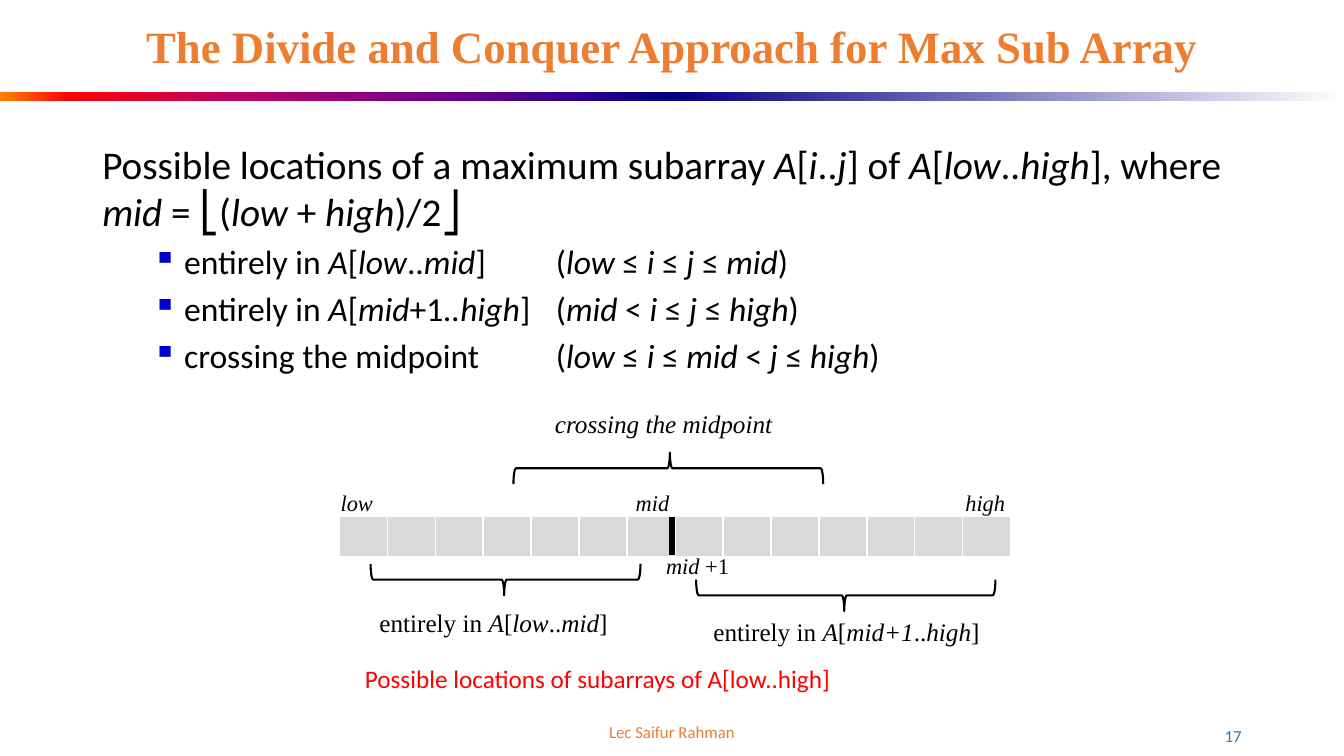
from lxml.etree import SubElement
from pptx import Presentation
from pptx.dml.color import RGBColor
from pptx.enum.shapes import MSO_CONNECTOR, MSO_SHAPE
from pptx.enum.text import MSO_ANCHOR, PP_ALIGN
from pptx.oxml.ns import qn
from pptx.util import Pt

EMU_PER_PX = 9525
COLORS = {
    "orange": "ED7D31", "black": "000000", "white": "FFFFFF", "red": "FF0000",
    "blue": "2E75B5", "bullet": "0000CC", "cell": "D9D9D9", "navy": "000082",
    "amber": "FF8200", "crimson": "BA0066", "purple": "66008F",
}
SANS, SERIF = "Calibri", "Times New Roman"
CELL_COUNT = 14


def px(length):
    return int(length * EMU_PER_PX)


def place(box):
    return [px(length) for length in box]


def color(name):
    return RGBColor.from_string(COLORS[name])


def add_runs(para, text, size, font, ink, bold=False):
    """Parts between asterisks are italic."""
    for index, part in enumerate(text.split("*")):
        if part:
            span = para.add_run()
            span.text = part
            span.font.size = Pt(size)
            span.font.name = font
            span.font.bold = bold
            span.font.italic = index % 2 == 1
            span.font.color.rgb = color(ink)


def add_frame(page, box, anchor=MSO_ANCHOR.TOP):
    frame = page.shapes.add_textbox(*place(box)).text_frame
    frame.word_wrap = True
    frame.vertical_anchor = anchor
    return frame


def add_label(page, box, text, size, font, ink, align=PP_ALIGN.LEFT,
              anchor=MSO_ANCHOR.TOP, bold=False):
    para = add_frame(page, box, anchor).paragraphs[0]
    para.alignment = align
    add_runs(para, text, size, font, ink, bold)
    return para


def add_gradient_bar(page, box, stops):
    bar = page.shapes.add_shape(MSO_SHAPE.RECTANGLE, *place(box))
    bar.shadow.inherit = False
    bar.line.fill.background()
    bar.fill.gradient()
    bar.fill.gradient_angle = 0
    stop_list = bar._element.spPr.find(qn("a:gradFill")).find(qn("a:gsLst"))
    for old_stop in list(stop_list):
        stop_list.remove(old_stop)
    for percent, name in stops:
        stop = SubElement(stop_list, qn("a:gs"), pos=str(percent * 1000))
        SubElement(stop, qn("a:srgbClr"), val=COLORS[name])


def add_header(page, box):
    left, top, width, height = box
    half = width // 2
    add_gradient_bar(page, (left, top + 88, half, 8),
                     [(0, "amber"), (10, "red"), (35, "crimson"), (70, "purple"), (100, "navy")])
    add_gradient_bar(page, (left + half, top + 88, half, 8), [(0, "navy"), (100, "white")])
    para = add_label(page, (left + 88, top + 15, width - 176, 63),
                     "The Divide and Conquer Approach for Max Sub Array", 32, SERIF,
                     "orange", PP_ALIGN.CENTER, MSO_ANCHOR.MIDDLE, bold=True)
    para.line_spacing = 0.9


def add_body(page, box):
    frame = add_frame(page, box)
    add_runs(frame.paragraphs[0],
             "Possible locations of a maximum subarray *A*[*i*..*j*] of *A*[*low*..*high*], "
             "where *mid* = ⎣(*low *+ *high*)/2⎦", 28, SANS, "black")
    cases = [
        "entirely in *A*[*low*..*mid*] \t\t(*low* ≤ *i *≤ *j *≤ *mid*)",
        "entirely in *A*[*mid*+1*..high*] \t(*mid* < *i *≤ *j *≤ *high*)",
        "crossing the midpoint \t\t(*low* ≤ *i *≤ *mid* < *j *≤ *high*)",
    ]
    for case in cases:
        para = frame.add_paragraph()
        para.level = 1
        para.space_before = Pt(4.8)
        properties = para._p.get_or_add_pPr()
        properties.set("marL", str(px(78)))
        properties.set("indent", str(px(-30)))
        bullet_color = SubElement(properties, qn("a:buClr"))
        SubElement(bullet_color, qn("a:srgbClr"), val=COLORS["bullet"])
        SubElement(properties, qn("a:buChar"), char="▪")
        add_runs(para, case, 24, SANS, "black")


def add_brace(page, box, rotation):
    """The box is the brace as seen; the shape is turned about its centre."""
    left, top, width, height = box
    shift = (width - height) / 2
    brace = page.shapes.add_shape(
        MSO_SHAPE.LEFT_BRACE, *place((left + shift, top - shift, height, width)))
    brace.rotation = rotation
    brace.adjustments[0], brace.adjustments[1] = 0.083, 0.495
    brace.shadow.inherit = False
    brace.fill.background()
    brace.line.color.rgb = color("black")
    brace.line.width = Pt(1.5)


def add_array(page, box):
    table = page.shapes.add_table(1, CELL_COUNT, *place(box)).table
    table.first_row = table.horz_banding = False
    table.rows[0].height = px(box[3])
    for column in table.columns:
        column.width = px(box[2] / CELL_COUNT)
    for cell in table.rows[0].cells:
        cell.margin_top = cell.margin_bottom = 0
        properties = cell._tc.get_or_add_tcPr()
        for side, points in (("L", 1), ("R", 1), ("T", 1), ("B", 3)):
            border = SubElement(properties, qn(f"a:ln{side}"), w=str(Pt(points)))
            fill = SubElement(border, qn("a:solidFill"))
            SubElement(fill, qn("a:srgbClr"), val=COLORS["white"])
        cell.fill.solid()
        cell.fill.fore_color.rgb = color("cell")


def add_diagram(page, box):
    left, top, width, height = box
    middle = left + width // 2 - 3
    array_top = top + 108
    add_array(page, (left, array_top, width, 39))

    # Midpoint mark
    mark = page.shapes.add_connector(
        MSO_CONNECTOR.STRAIGHT,
        *place((middle, array_top, middle, array_top + 37)))
    mark.line.color.rgb = color("black")
    mark.line.width = Pt(4.5)
    SubElement(mark._element.spPr, qn("a:effectLst"))

    # Index labels
    para = add_label(page, (left - 8, top + 77, width + 20, 36), "*low\tmid\thigh*",
                     16, SERIF, "black")
    tabs = SubElement(para._p.get_or_add_pPr(), qn("a:tabLst"))
    for position in (281, 595):
        SubElement(tabs, qn("a:tab"), pos=str(px(position)), algn="l")
    add_label(page, (left + 302, top + 137, 113, 36), "*mid *+1", 16, SERIF, "black")

    # Range labels and their braces
    ranges = [
        ((29, 190, 239, 38), "entirely in *A*[*low*..*mid*]", (30, 153, 257, 30), 270),
        ((347, 198, 276, 38), "entirely in *A*[*mid+1*..*high*]", (340, 168, 285, 30), 270),
        ((196, 0, 242, 38), "*crossing the midpoint*", (166, 47, 295, 30), 90),
    ]
    for label_box, text, brace_box, rotation in ranges:
        for add_part, part_box, details in (
                (add_label, label_box, (text, 18, SERIF, "black")),
                (add_brace, brace_box, (rotation,))):
            x, y, w, h = part_box
            add_part(page, (left + x, top + y, w, h), *details)

    # Caption
    add_label(page, (left + 15, top + height - 48, 612, 48),
              "Possible locations of subarrays of A[low..high]", 18, SANS, "red")


def add_footer(page, box):
    left, top, width, height = box
    add_label(page, (left + 299, top, 506, height), "Lec Saifur Rahman", 12, SANS,
              "orange", PP_ALIGN.CENTER, MSO_ANCHOR.MIDDLE)
    add_label(page, (left + width - 288, top + 4, 288, height), "17", 12, SANS,
              "blue", PP_ALIGN.RIGHT, MSO_ANCHOR.MIDDLE)


def main():
    deck = Presentation()
    deck.slide_width, deck.slide_height = px(1280), px(720)
    page = deck.slides.add_slide(deck.slide_layouts[6])
    add_header(page, (0, 0, 1280, 96))
    add_body(page, (88, 129, 1104, 271))
    add_diagram(page, (323, 384, 640, 291))
    add_footer(page, (88, 678, 1104, 38))
    deck.save("out.pptx")


if __name__ == "__main__":
    main()
